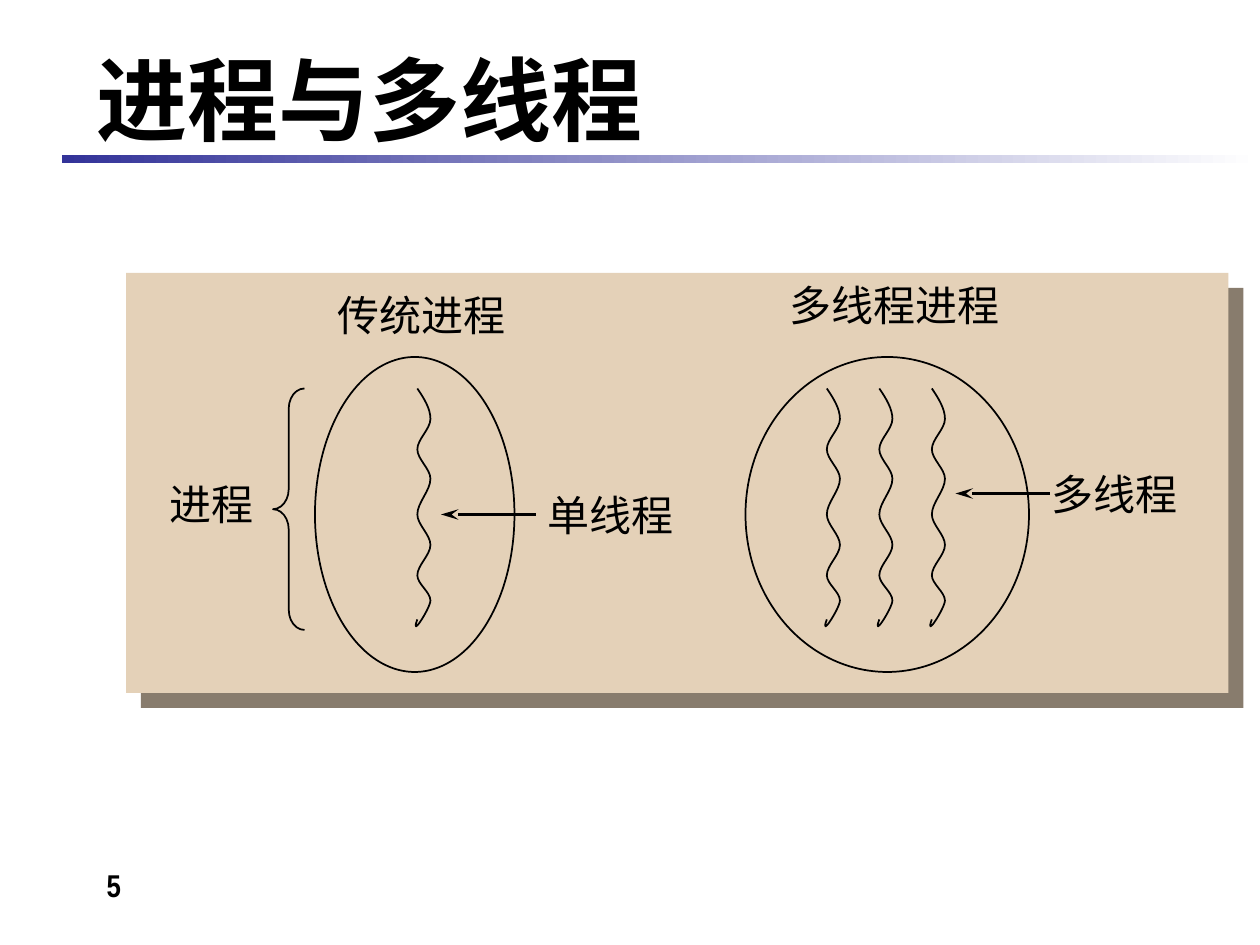
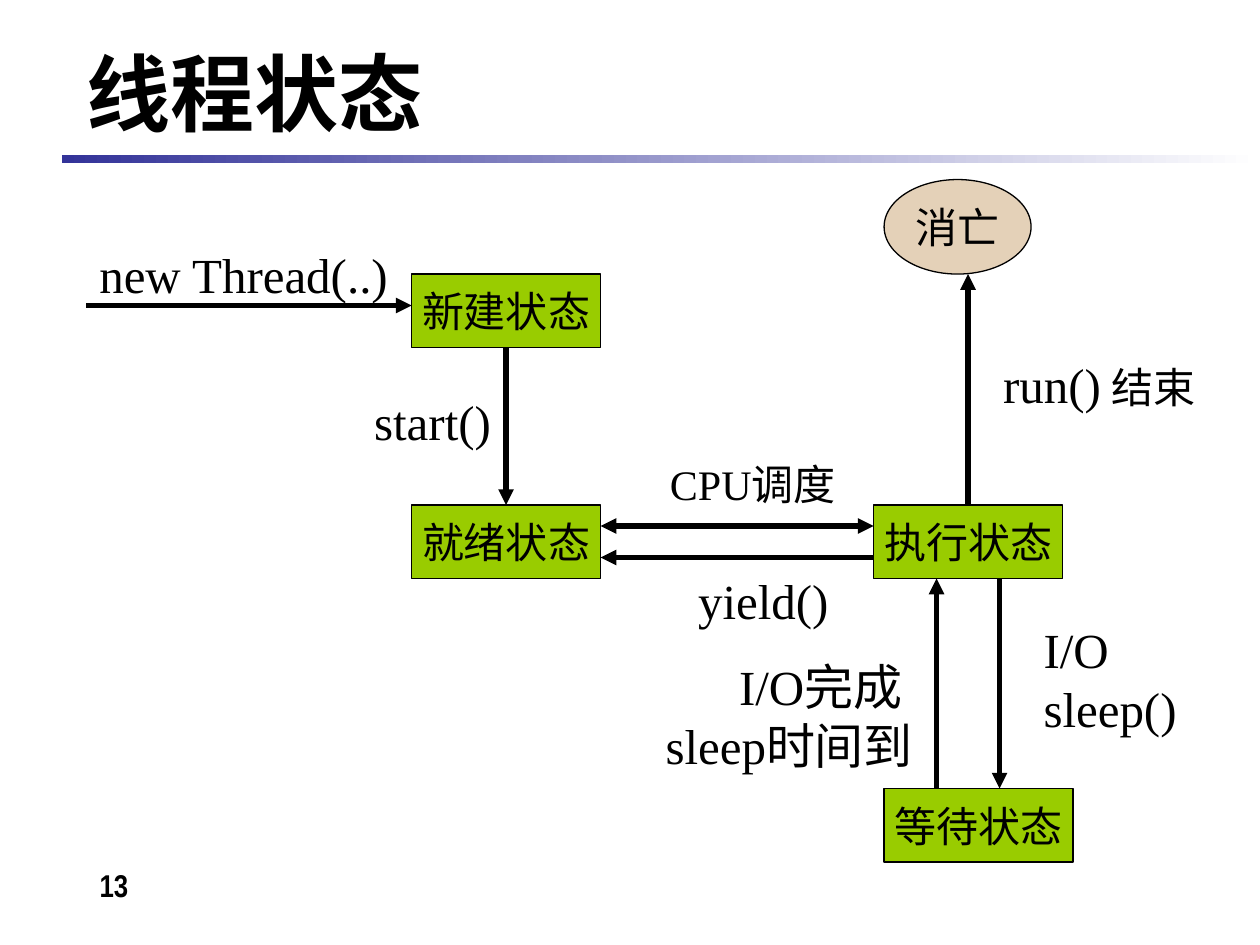
"""Build two slides on threads: processes with threads, and thread states."""
from lxml import etree
from pptx import Presentation
from pptx import util as u
from pptx.dml.color import RGBColor
from pptx.enum import shapes, text
from pptx.oxml import parse_xml
from pptx.oxml.ns import nsdecls, qn

BLACK = RGBColor(0x00, 0x00, 0x00)
WHITE = RGBColor(0xFF, 0xFF, 0xFF)
INDIGO = RGBColor(0x33, 0x33, 0x99)
SAND = RGBColor(0xE4, 0xD1, 0xB8)
GREEN = RGBColor(0x99, 0xCC, 0x00)
PANEL_SHADOW = RGBColor(0x88, 0x7C, 0x6D)
HEAD_FONT, BODY_FONT = "Arial Narrow", "Times New Roman"
LEFT, CENTER = text.PP_ALIGN.LEFT, text.PP_ALIGN.CENTER
TOP, MIDDLE = text.MSO_ANCHOR.TOP, text.MSO_ANCHOR.MIDDLE
SHAPE, LINE = shapes.MSO_SHAPE, shapes.MSO_CONNECTOR.STRAIGHT

deck = Presentation()
deck.slide_width, deck.slide_height = u.Inches(10), u.Inches(7.5)
CELL = deck.slide_width / 120


def write(box, lines, align=CENTER, anchor=MIDDLE, font=BODY_FONT, bold=False):
    """Fill a box with lines, each a list of (words, size) spans."""
    frame = box.text_frame
    settings = {"word_wrap": False, "vertical_anchor": anchor, "auto_size": text.MSO_AUTO_SIZE.NONE}
    for name, value in settings.items():
        setattr(frame, name, value)
    for number, line in enumerate(lines):
        para = frame.add_paragraph() if number else frame.paragraphs[0]
        para.alignment = align
        for words, size in line:
            span = para.add_run()
            span.text = words
            span.font.color.rgb = BLACK
            for name, value in {"name": font, "size": u.Pt(size), "bold": bold}.items():
                setattr(span.font, name, value)


def arrow(page, ends, width, head, both=False):
    """Draw a black arrow between two grid points (x, y, x, y)."""
    line = page.shapes.add_connector(LINE, *[round(end * CELL) for end in ends])
    line.line.color.rgb = BLACK
    line.line.width = u.Pt(width)
    outline = line.line._get_or_add_ln()
    for tag in ("a:headEnd", "a:tailEnd") if both else ("a:tailEnd",):
        etree.SubElement(outline, qn(tag), head)
    etree.SubElement(line._element.spPr, qn("a:effectLst"))
    return line


pages = []
for heading, size, area, number in (
    ("进程与多线程", 52, (8, 4.9, 73, 8.9), "5"),
    ("线程状态", 48, (7.03, 5.35, 51.2, 6.85), "13"),
):
    page = deck.slides.add_slide(deck.slide_layouts[5])
    pages.append(page)
    band = page.shapes.add_shape(SHAPE.RECTANGLE, *[round(n * CELL) for n in (5.9, 14.8, 114.1, 0.75)])
    band.shadow.inherit = False
    band.line.fill.background()
    band.fill.gradient()
    band.fill.gradient_angle = 0
    for stop, color in zip(band.fill.gradient_stops, (INDIGO, WHITE)):
        stop.color.rgb = color
    title = page.shapes.title
    for name, value in zip(("left", "top", "width", "height"), area):
        setattr(title, name, round(value * CELL))
    write(title, [[(heading, size)]], LEFT, font=HEAD_FONT, bold=True)
    footer = page.shapes.add_textbox(*[round(n * CELL) for n in (2.35, 81.88, 17, 6.2)])
    write(footer, [[(number, 18)]], anchor=TOP, font=HEAD_FONT, bold=True)

process_page, state_page = pages

panel = process_page.shapes.add_shape(SHAPE.RECTANGLE, *[round(n * CELL) for n in (12, 26, 105, 40)])
panel.fill.solid()
panel.fill.fore_color.rgb = SAND
panel.line.fill.background()
panel.shadow.inherit = False
panel._element.spPr.find(qn("a:effectLst")).append(parse_xml(
    f'<a:outerShdw {nsdecls("a")} blurRad="0" dist="{u.Pt(12.1)}" dir="2700000" algn="ctr" rotWithShape="0">'
    f'<a:srgbClr val="{PANEL_SHADOW}"/></a:outerShdw>'))

for kind, area in (
    (SHAPE.OVAL, (30, 34, 19, 30)),
    (SHAPE.OVAL, (71, 34, 27, 30)),
    (SHAPE.LEFT_BRACE, (26, 37, 3, 23)),
):
    outline = process_page.shapes.add_shape(kind, *[round(n * CELL) for n in area])
    outline.shadow.inherit = False
    outline.fill.background()
    outline.line.color.rgb = BLACK
    outline.line.width = u.Pt(1)
    if kind == SHAPE.LEFT_BRACE:
        outline.adjustments[0] = 0.64

INNER, OUTER = 0.75, 2
turns = [0, 2.9, 5.8, 8.6, 12, 14.9, 17.8, 20.2]
wave = []
for index, (high, low) in enumerate(zip(turns, turns[1:])):
    start, end = (OUTER, INNER) if index % 2 else (INNER, OUTER)
    third = (low - high) / 3
    wave += [(start if index else 1.4, high + third), (end, low - third), (end, low)]
wave += [(OUTER, 20.9), (0, 24), (INNER, 22)]

for column in (39, 78, 83, 88):
    builder = process_page.shapes.build_freeform(round((column + INNER) * CELL), round(37 * CELL))
    builder.add_line_segments([(round((column + x) * CELL), round((37 + y) * CELL)) for x, y in wave], close=False)
    thread = builder.convert_to_shape()
    thread.shadow.inherit = False
    thread.fill.background()
    thread.line.color.rgb = BLACK
    thread.line.width = u.Pt(1)
    segments = list(thread._element.iter(qn("a:lnTo")))
    for first in range(0, len(segments), 3):
        curve, *others = segments[first:first + 3]
        bezier = etree.SubElement(curve.getparent(), qn("a:cubicBezTo"))
        for segment in (curve, *others):
            bezier.append(segment[0])
            segment.getparent().remove(segment)

for words, area in (
    ("传统进程", (31, 27, 27, 6)),
    ("多线程进程", (74, 26, 28, 6)),
    ("进程", (15, 45, 13, 6)),
    ("单线程", (51, 46, 16, 6)),
    ("多线程", (99, 44, 16, 6)),
):
    label = process_page.shapes.add_textbox(*[round(n * CELL) for n in area])
    write(label, [[(words, 24)]], LEFT, TOP)
for ends in ((51, 49, 42, 49), (100, 47, 91, 47)):
    arrow(process_page, ends, 2, {"type": "stealth", "len": "lg"})

states = {}
for name, kind, color, area in (
    ("新建状态", SHAPE.RECTANGLE, GREEN, (39.2, 26.1, 18, 7)),
    ("就绪状态", SHAPE.RECTANGLE, GREEN, (39.2, 48.1, 18, 7)),
    ("执行状态", SHAPE.RECTANGLE, GREEN, (83.2, 48.1, 18, 7)),
    ("等待状态", SHAPE.RECTANGLE, GREEN, (84.2, 75.1, 18, 7)),
    ("消亡", SHAPE.OVAL, SAND, (84.2, 17.1, 14, 9)),
):
    state = state_page.shapes.add_shape(kind, *[round(n * CELL) for n in area])
    state.shadow.inherit = False
    state.fill.solid()
    state.fill.fore_color.rgb = color
    state.line.color.rgb = BLACK
    state.line.width = u.Pt(0.75)
    write(state, [[(name, 24)]])
    states[name] = state

for ends, both, source, target in (
    ((8.2, 29.1, 39.2, 29.1), False, None, None),
    ((48.2, 33.1, 48.2, 48.1), False, "新建状态", "就绪状态"),
    ((57.2, 50.1, 83.2, 50.1), True, None, None),
    ((83.2, 53.1, 57.2, 53.1), False, None, None),
    ((95.2, 55.1, 95.2, 75.1), False, None, None),
    ((89.2, 75.1, 89.2, 55.1), False, None, None),
    ((92.2, 48.1, 92.2, 26.1), False, "执行状态", None),
):
    change = arrow(state_page, ends, 3, {"type": "triangle"}, both)
    if source:
        change.begin_connect(states[source], 2 if target else 0)
    if target:
        change.end_connect(states[target], 0)

for lines, align, area in (
    ([[("new Thread(..)", 28)]], CENTER, (9.2, 23.1, 28, 6)),
    ([[("start()", 28)]], CENTER, (35.2, 37.1, 12, 6)),
    ([[("CPU调度", 24)]], CENTER, (63.2, 43.1, 17, 6)),
    ([[("yield()", 28)]], CENTER, (64.2, 54.1, 17, 6)),
    ([[("run()", 28), (" 结束", 24)]], CENTER, (94.2, 33.1, 21, 7)),
    ([[("I/O", 28)], [("sleep()", 28)]], LEFT, (98.2, 58.1, 15, 13)),
    ([[("I/O完成", 28)], [("sleep时间到", 28)]], LEFT, (62.2, 61.1, 27, 14)),
):
    label = state_page.shapes.add_textbox(*[round(n * CELL) for n in area])
    write(label, lines, align)
label.text_frame.paragraphs[0]._p.get_or_add_pPr().set("marL", str(round(7 * CELL)))

deck.save("out.pptx")
